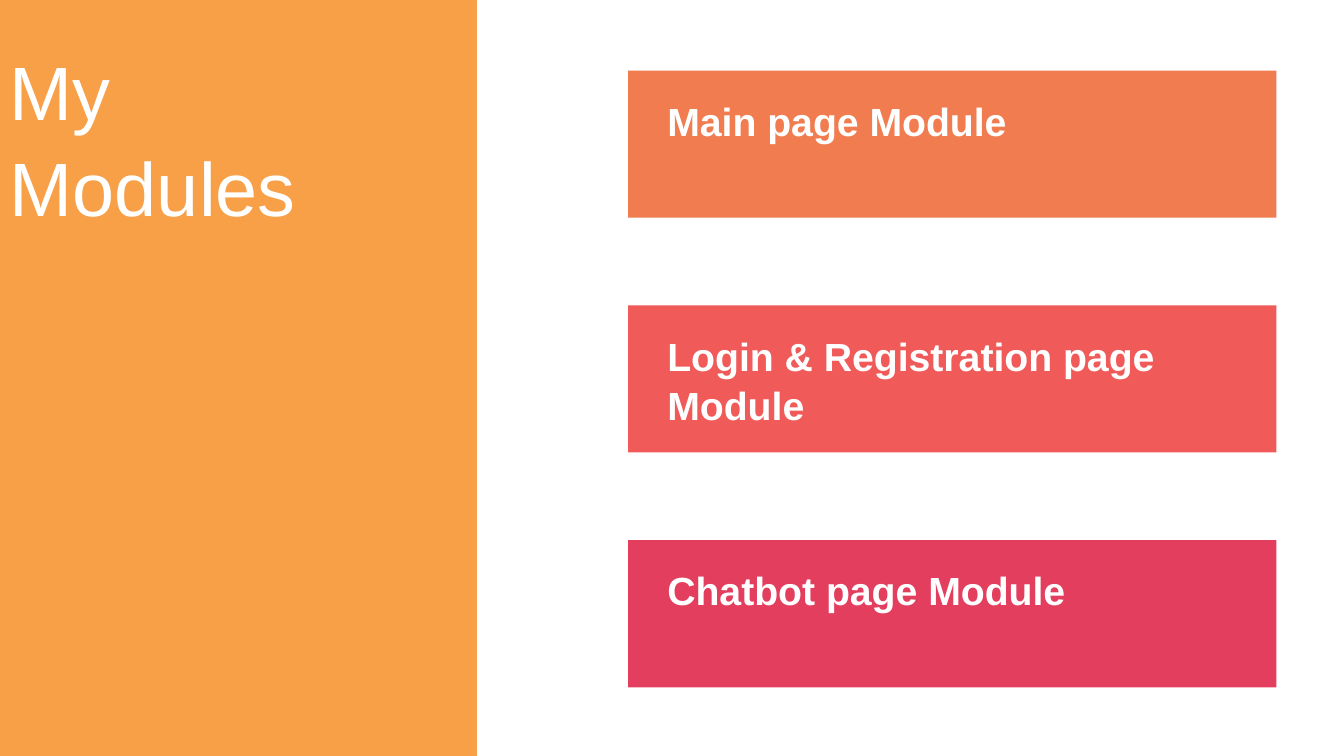
from dataclasses import dataclass

from pptx import Presentation
from pptx.dml.color import RGBColor
from pptx.enum.shapes import MSO_SHAPE as Preset
from pptx.enum.text import MSO_ANCHOR as Anchor
from pptx.slide import Slide
from pptx.util import Inches, Pt


@dataclass(frozen=True)
class Theme:
    font: str = "Arial"
    text: str = "FFFFFF"
    sidebar: str = "F8A047"
    title_size: int = 54
    label_size: int = 28
    line_spacing: float = 1.05


@dataclass(frozen=True)
class Box:
    left: float
    top: float
    width: float
    height: float

    def lengths(self) -> tuple[int, int, int, int]:
        return (Inches(self.left), Inches(self.top),
                Inches(self.width), Inches(self.height))


@dataclass(frozen=True)
class Module:
    name: str
    color: str
    label_height: float


THEME = Theme()
MODULES = [
    Module("Main page Module", "F07C4F", 0.57),
    Module("Login & Registration page Module", "F05A59", 1.04),
    Module("Chatbot page Module", "E43E5F", 0.57),
]
FIRST_CARD = Box(6.23, 0.7, 6.43, 1.46)
CARD_PITCH = 2.33
LABEL_INDENT = 0.29
LABEL_DROP = 0.16


def add_rectangle(slide: Slide, box: Box, color: str) -> None:
    shape = slide.shapes.add_shape(Preset.RECTANGLE, *box.lengths())
    shape.shadow.inherit = False
    shape.fill.solid()
    shape.fill.fore_color.rgb = RGBColor.from_string(color)
    shape.line.fill.background()


def add_text(slide: Slide, box: Box, lines: list[str], size: int,
             bold: bool = False, anchor: Anchor = Anchor.TOP) -> None:
    """Add a wrapping text box with one paragraph for each line."""
    frame = slide.shapes.add_textbox(*box.lengths()).text_frame
    frame.word_wrap = True
    frame.vertical_anchor = anchor
    frame.margin_top = Inches(0.08)
    frame.margin_bottom = Inches(0.02)
    for index, line in enumerate(lines):
        paragraph = frame.add_paragraph() if index else frame.paragraphs[0]
        paragraph.line_spacing = THEME.line_spacing
        run = paragraph.add_run()
        run.text = line
        run.font.name = THEME.font
        run.font.size = Pt(size)
        run.font.bold = bold
        run.font.color.rgb = RGBColor.from_string(THEME.text)


def add_module(slide: Slide, module: Module, row: int) -> None:
    card = Box(FIRST_CARD.left, FIRST_CARD.top + row * CARD_PITCH,
               FIRST_CARD.width, FIRST_CARD.height)
    label = Box(card.left + LABEL_INDENT, card.top + LABEL_DROP,
                card.width - 2 * LABEL_INDENT, module.label_height)
    add_rectangle(slide, card, module.color)
    add_text(slide, label, [module.name], THEME.label_size, bold=True)


def main() -> None:
    presentation = Presentation()
    presentation.slide_width = Inches(13.33)
    presentation.slide_height = Inches(7.5)
    slide = presentation.slides.add_slide(presentation.slide_layouts[6])

    add_rectangle(slide, Box(0, 0, 4.73, 7.5), THEME.sidebar)
    for row, module in enumerate(MODULES):
        add_module(slide, module, row)
    add_text(slide, Box(0, 0.36, 4.67, 1.92), ["My", "Modules"],
             THEME.title_size, anchor=Anchor.MIDDLE)

    presentation.save("out.pptx")


if __name__ == "__main__":
    main()
